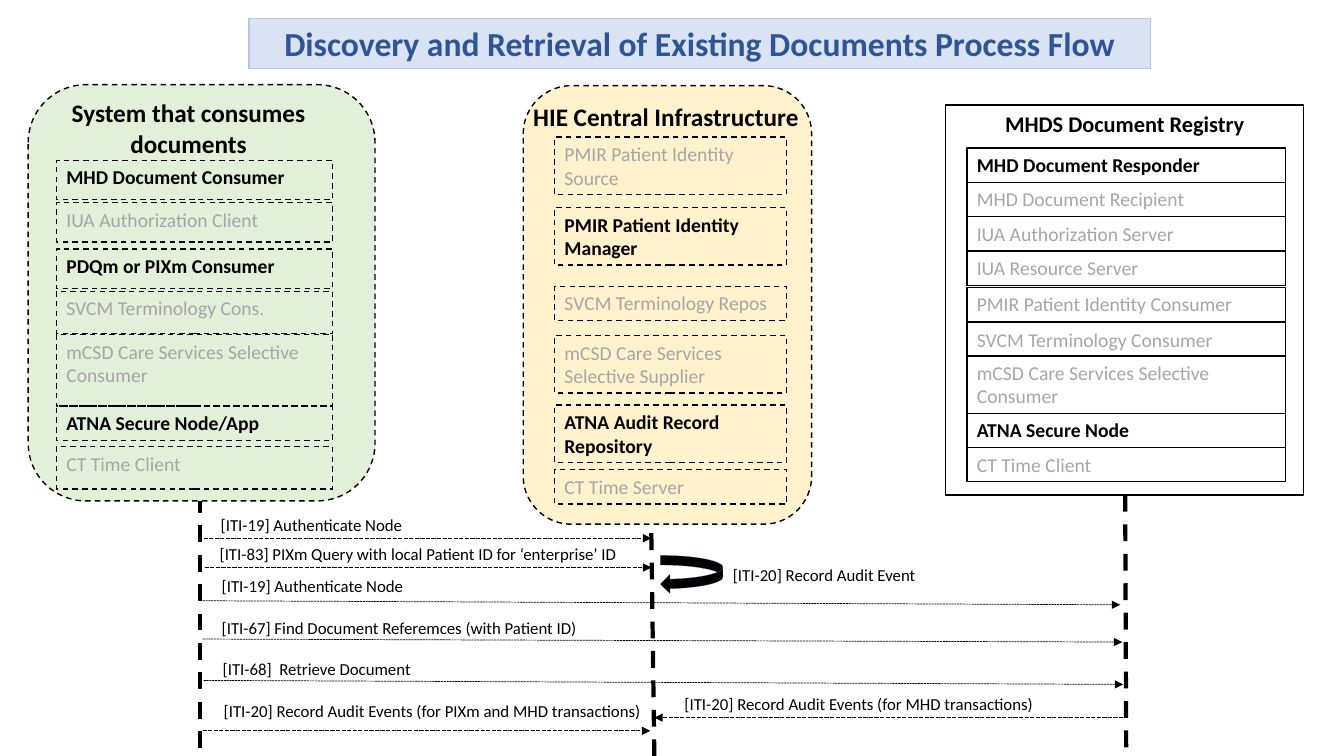
from dataclasses import dataclass
from typing import NamedTuple, Optional

from lxml import etree
from pptx import Presentation
from pptx.dml.color import RGBColor
from pptx.enum.dml import MSO_LINE
from pptx.enum.shapes import MSO_CONNECTOR as Connector, MSO_SHAPE as Preset
from pptx.enum.text import MSO_ANCHOR as Anchor, PP_ALIGN as Align
from pptx.oxml.ns import qn
from pptx.util import Inches, Pt

# Grid: square cells, a tenth of an inch wide
CELL = Inches(0.1)
COLUMNS, ROWS = 133.3, 75
BLACK, GREY = "000000", "A6A6A6"


class Box(NamedTuple):
    left: float
    top: float
    width: float
    height: float


class Point(NamedTuple):
    column: float
    row: float


class Actor(NamedTuple):
    name: str
    top: float
    height: float = 3.4
    active: bool = False


@dataclass
class Panel:
    title: str
    frame: Box
    actor_left: float
    actor_width: float
    actors: list[Actor]
    title_box: Optional[Box] = None  # None writes the title in the frame
    title_size: int = 18
    title_align: Align = Align.CENTER
    preset: Preset = Preset.ROUNDED_RECTANGLE
    fill: Optional[str] = None
    dash: Optional[MSO_LINE] = MSO_LINE.DASH


class Message(NamedTuple):
    text: str
    label: Point
    start: Point
    end: Point
    weight: float = 1


def cells(*counts: float) -> list[int]:
    return [round(count * CELL) for count in counts]


def color(hex_code: str) -> RGBColor:
    return RGBColor.from_string(hex_code)


def write(shape, text: str, size: float = 14, ink: str = BLACK, bold: bool = False,
          align: Align = Align.LEFT, wrap: bool = True) -> None:
    frame = shape.text_frame
    frame.word_wrap = wrap
    frame.vertical_anchor = Anchor.TOP
    paragraph = frame.paragraphs[0]
    paragraph.alignment = align
    run = paragraph.add_run()
    run.text = text
    run.font.name, run.font.size, run.font.bold = "Calibri", Pt(size), bold
    run.font.color.rgb = color(ink)


def style_line(line, ink: str, weight: float, dash: Optional[MSO_LINE]) -> None:
    line.color.rgb = color(ink)
    line.width = Pt(weight)
    if dash is not None:
        line.dash_style = dash


def add_box(slide, box: Box, preset: Preset = Preset.RECTANGLE, fill: Optional[str] = None,
            ink: str = BLACK, weight: float = 1, dash: Optional[MSO_LINE] = None):
    shape = slide.shapes.add_shape(preset, *cells(*box))
    shape.shadow.inherit = False
    if fill:
        shape.fill.solid()
        shape.fill.fore_color.rgb = color(fill)
    else:
        shape.fill.background()
    style_line(shape.line, ink, weight, dash)
    return shape


def add_label(slide, box: Box, text: str, **text_format) -> None:
    write(slide.shapes.add_textbox(*cells(*box)), text, **text_format)


def add_line(slide, start: Point, end: Point, weight: float, dash: MSO_LINE,
             arrow: bool = False) -> None:
    connector = slide.shapes.add_connector(Connector.STRAIGHT, *cells(*start, *end))
    style_line(connector.line, BLACK, weight, dash)
    properties = connector._element.spPr
    if arrow:
        etree.SubElement(properties.find(qn("a:ln")), qn("a:tailEnd"), type="triangle")
    etree.SubElement(properties, qn("a:effectLst"))


def add_panel(slide, panel: Panel) -> None:
    frame = add_box(slide, panel.frame, panel.preset, panel.fill, dash=panel.dash)
    title_format = dict(size=panel.title_size, bold=True, align=panel.title_align)
    if panel.title_box:
        add_label(slide, panel.title_box, panel.title, **title_format)
    else:
        write(frame, panel.title, **title_format)
    for actor in panel.actors:
        box = Box(panel.actor_left, actor.top, panel.actor_width, actor.height)
        write(add_box(slide, box, dash=panel.dash), actor.name,
              ink=BLACK if actor.active else GREY, bold=actor.active)


def add_message(slide, message: Message) -> None:
    add_line(slide, message.start, message.end, message.weight, MSO_LINE.SQUARE_DOT, arrow=True)
    add_label(slide, Box(*message.label, 45.8, 3), message.text, size=12)


PANELS = [
    Panel("HIE Central Infrastructure", Box(51.9, 8.5, 28.6, 43.5), 55, 23, [
        Actor("PMIR Patient Identity Source", 13.6, 5.7),
        Actor("PMIR Patient Identity Manager", 20.6, 5.7, True),
        Actor("SVCM Terminology Repos", 28.4),
        Actor("mCSD Care Services Selective Supplier", 33.3, 5.7),
        Actor("ATNA Audit Record Repository", 40.2, 5.7, True),
        Actor("CT Time Server", 46.6),
    ], Box(51.9, 9.6, 28.6, 4), title_align=Align.LEFT, fill="FFF2CC"),
    Panel("MHDS Document Registry", Box(93.8, 10.4, 35.5, 38.7), 95.9, 31.6, [
        Actor("MHD Document Responder", 14.7, active=True),
        Actor("MHD Document Recipient", 18.1),
        Actor("IUA Authorization Server", 21.5),
        Actor("IUA Resource Server", 24.9),
        Actor("PMIR Patient Identity Consumer", 28.5),
        Actor("SVCM Terminology Consumer", 32),
        Actor("mCSD Care Services Selective Consumer", 35.3, 5.7),
        Actor("ATNA Secure Node", 41, active=True),
        Actor("CT Time Client", 44.4),
    ], title_size=16, preset=Preset.RECTANGLE, dash=None),
    Panel("System that consumes documents", Box(2.8, 8.4, 34.4, 41.3), 5.6, 27.4, [
        Actor("MHD Document Consumer", 15.9, 3.9, True),
        Actor("IUA Authorization Client", 20.1, 3.9),
        Actor("PDQm or PIXm Consumer", 24.7, 3.9, True),
        Actor("SVCM Terminology Cons.", 28.9, 4.2),
        Actor("mCSD Care Services Selective Consumer", 33.2, 7.1),
        Actor("ATNA Secure Node/App", 40.3, active=True),
        Actor("CT Time Client", 44.3, 4.2),
    ], Box(0.3, 9.2, 36.8, 7.1), fill="E2F0D9"),
]

LIFELINES = [
    (Point(19.8, 37.5), Point(19.8, 75)),
    (Point(64.6, 52.9), Point(64.9, 75)),
    (Point(111.6, 49.1), Point(111.7, 75)),
]

MESSAGES = [
    Message("[ITI-19] Authenticate Node", Point(20.9, 50.6), Point(20.2, 53.4), Point(64.6, 53.4)),
    Message("[ITI-83] PIXm Query with local Patient ID for ‘enterprise’ ID",
            Point(20.8, 53.5), Point(20.3, 56.3), Point(64.6, 56.3)),
    Message("[ITI-19] Authenticate Node", Point(21, 56.6), Point(20.1, 59.6), Point(111.1, 60), 0.5),
    Message("[ITI-67] Find Document Referemces (with Patient ID)",
            Point(21, 60.8), Point(20.1, 63.4), Point(111.3, 63.7), 0.5),
    Message("[ITI-68]  Retrieve Document", Point(21.1, 64.9), Point(20.2, 67.5), Point(111.4, 67.9), 0.5),
    Message("[ITI-20] Record Audit Events (for PIXm and MHD transactions)",
            Point(21.2, 69), Point(20.1, 72.5), Point(64.5, 72.5)),
    Message("[ITI-20] Record Audit Events (for MHD transactions)",
            Point(66.9, 68.3), Point(111.4, 71.2), Point(64.9, 71.2)),
]

presentation = Presentation()
presentation.slide_width, presentation.slide_height = cells(COLUMNS, ROWS)
slide = presentation.slides.add_slide(presentation.slide_layouts[6])

# Heading
heading = add_box(slide, Box(24.7, 1.8, 89.4, 5), fill="DAE3F3", ink="B4C7E7", weight=0.75)
write(heading, "Discovery and Retrieval of Existing Documents Process Flow",
      size=24, ink="2F5597", bold=True, align=Align.CENTER)

# Lifelines go behind the panels
for top, bottom in LIFELINES:
    add_line(slide, top, bottom, 3, MSO_LINE.DASH)
for panel in PANELS:
    add_panel(slide, panel)
for message in MESSAGES:
    add_message(slide, message)

# Audit event that the infrastructure records for itself
audit_loop = add_box(slide, Box(65.5, 55.1, 6.2, 3.8), Preset.CURVED_RIGHT_ARROW,
                     BLACK, "325491", 0.1)
audit_loop._element.spPr.find(qn("a:xfrm")).set("flipH", "1")
add_label(slide, Box(71.7, 55.5, 45.8, 3), "[ITI-20] Record Audit Event", size=12)

presentation.save("out.pptx")
